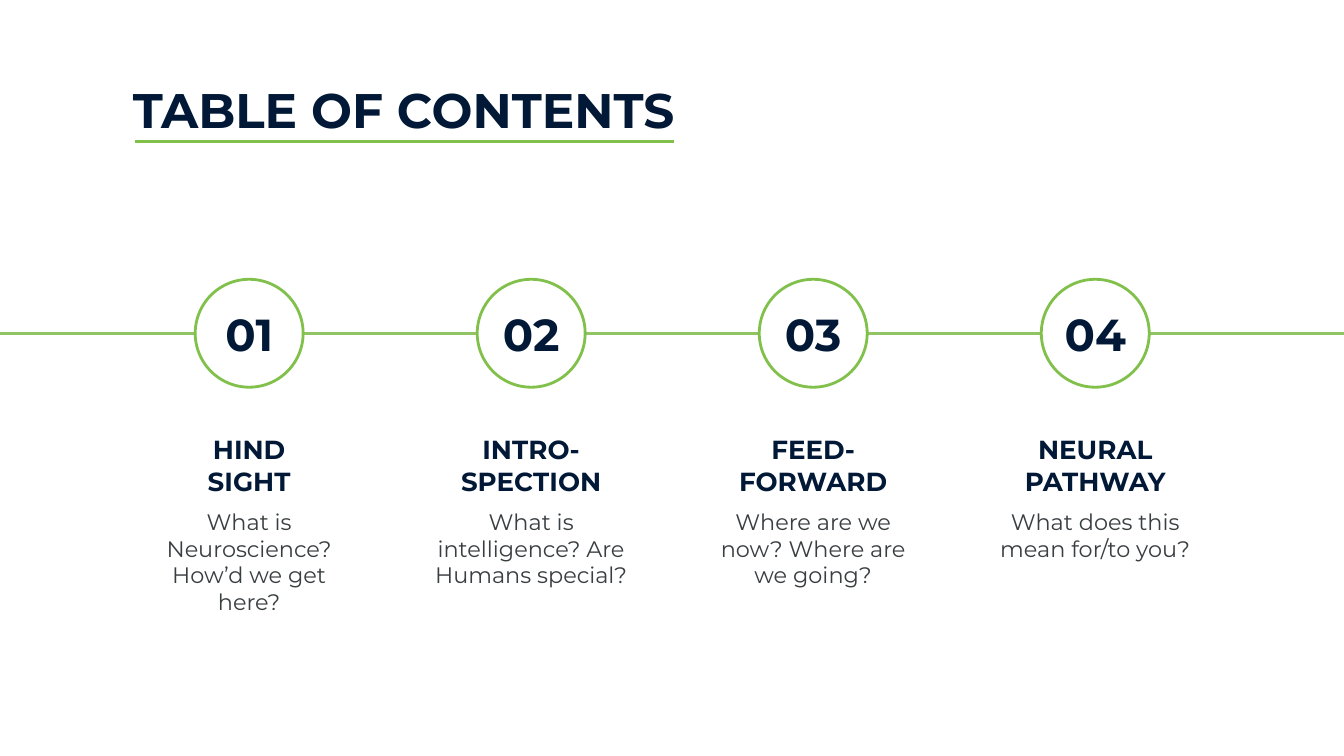
from dataclasses import dataclass

from lxml.etree import SubElement
from pptx import Presentation
from pptx.dml.color import RGBColor
from pptx.enum.shapes import MSO_CONNECTOR, MSO_SHAPE
from pptx.enum.text import MSO_ANCHOR, MSO_AUTO_SIZE, PP_ALIGN
from pptx.oxml.ns import qn
from pptx.util import Cm, Pt


@dataclass(frozen=True)
class Theme:
    font: str = "Montserrat"
    navy: str = "011936"
    gray: str = "393E41"
    green: str = "81C14B"
    soft_green: str = "91C564"
    white: str = "FFFFFF"
    title: int = 26
    number: int = 24
    heading: int = 14
    body: int = 12
    line: float = 1.5


def write_text(tf, text, *, font, size, color, bold=True,
               align=PP_ALIGN.CENTER, anchor=MSO_ANCHOR.TOP):
    tf.auto_size = MSO_AUTO_SIZE.NONE
    tf.word_wrap = True
    tf.vertical_anchor = anchor
    tf.margin_left = tf.margin_right = Cm(0.25)
    tf.margin_top = tf.margin_bottom = Cm(0.25)
    tf.text = text
    for p in tf.paragraphs:
        p.alignment = align
        for r in p.runs:
            r.font.name = font
            r.font.size = Pt(size)
            r.font.bold = bold
            r.font.color.rgb = RGBColor.from_string(color)


class SlideBuilder:
    def __init__(self, s, theme):
        self.s = s
        self.theme = theme

    def title(self, text, x, y, w, h):
        sp = self.s.shapes.title
        sp.left, sp.top, sp.width, sp.height = Cm(x), Cm(y), Cm(w), Cm(h)
        write_text(sp.text_frame, text, font=self.theme.font,
                   size=self.theme.title, color=self.theme.navy,
                   align=PP_ALIGN.LEFT)

    def text(self, text, x, y, w, h, **style):
        sp = self.s.shapes.add_textbox(Cm(x), Cm(y), Cm(w), Cm(h))
        write_text(sp.text_frame, text, font=self.theme.font, **style)

    def rule(self, x1, x2, y, color):
        line = self.s.shapes.add_connector(
            MSO_CONNECTOR.STRAIGHT, Cm(x1), Cm(y), Cm(x2), Cm(y))
        line.line.color.rgb = RGBColor.from_string(color)
        line.line.width = Pt(self.theme.line)
        SubElement(line._element.spPr, qn("a:effectLst"))

    def circle(self, cx, cy, d):
        sp = self.s.shapes.add_shape(
            MSO_SHAPE.OVAL, Cm(cx - d / 2), Cm(cy - d / 2), Cm(d), Cm(d))
        sp.shadow.inherit = False
        sp.fill.solid()
        sp.fill.fore_color.rgb = RGBColor.from_string(self.theme.white)
        sp.line.color.rgb = RGBColor.from_string(self.theme.green)
        sp.line.width = Pt(self.theme.line)


def main():
    prs = Presentation()
    prs.slide_width, prs.slide_height = Cm(25.4), Cm(14.29)
    theme = Theme()
    slide = SlideBuilder(prs.slides.add_slide(prs.slide_layouts[5]), theme)

    sections = [
        ("HIND\nSIGHT", "What is Neuroscience? How’d we get here?"),
        ("INTRO-\nSPECTION", "What is intelligence? Are Humans special?"),
        ("FEED-\nFORWARD", "Where are we now? Where are we going?"),
        ("NEURAL\nPATHWAY", "What does this mean for/to you?"),
    ]
    first_x, pitch, column_w = 4.71, 5.33, 4.7
    timeline_y = 6.3

    slide.title("TABLE OF CONTENTS", 2.26, 1.27, 20.85, 1.6)
    slide.rule(2.55, 12.73, 2.67, theme.green)
    slide.rule(-0.05, 25.45, timeline_y, theme.soft_green)

    for i, (heading, question) in enumerate(sections):
        cx = first_x + i * pitch
        x = cx - column_w / 2
        slide.circle(cx, timeline_y, 2.04)
        slide.text(f"{i + 1:02}", x, timeline_y - 0.69, column_w, 1.4,
                   size=theme.number, color=theme.navy,
                   anchor=MSO_ANCHOR.MIDDLE)
        slide.text(heading, x, 7.95, column_w, 1.6,
                   size=theme.heading, color=theme.navy)
        slide.text(question, x, 9.35, column_w, 2.2,
                   size=theme.body, color=theme.gray, bold=False)

    prs.save("out.pptx")


if __name__ == "__main__":
    main()
